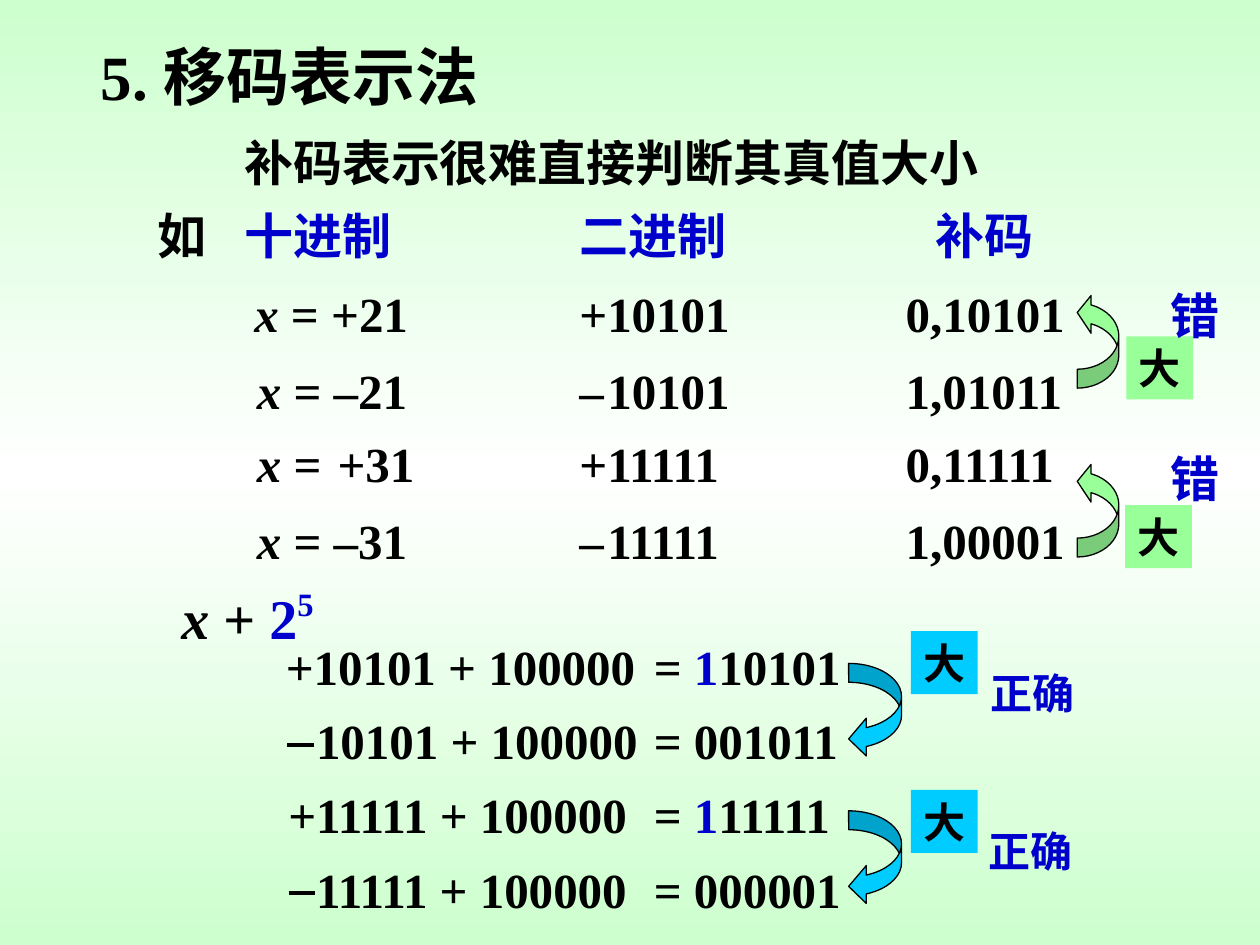
"""Build the slide that introduces the biased (excess) code representation."""
from copy import deepcopy
from dataclasses import dataclass

from lxml import etree
from pptx import Presentation
from pptx.dml.color import RGBColor
from pptx.enum import shapes as kinds, text as modes
from pptx.oxml.ns import qn
from pptx.slide import Slide
from pptx.util import Inches, Pt


@dataclass(frozen=True)
class Theme:
    font: str = "Times New Roman"
    ink: str = "000000"
    accent: str = "0000CC"
    wrong: str = "99FF99"
    right: str = "00CCFF"
    edge: str = "CDFFCE"
    middle: str = "FFFFFF"
    title: float = 36
    formula: float = 32
    body: float = 28
    label: float = 24
    gap: float = 9
    thin_gap: float = 8


THEME = Theme()


@dataclass(frozen=True)
class Run:
    text: str
    color: str | None = None
    size: float | None = None
    italic: bool = False
    raised: bool = False


@dataclass(frozen=True)
class Example:
    top: float
    left: float
    width: float
    decimal: tuple[Run, ...]
    binary: tuple[Run, ...]
    complement: str


@dataclass(frozen=True)
class Sum:
    left: float
    addends: str
    result: tuple[Run, ...]
    minus_left: float | None = None


@dataclass(frozen=True)
class Verdict:
    arrow: kinds.MSO_SHAPE
    arrow_at: tuple[float, float]
    depth: float
    turn: int
    color: str
    badge_at: tuple[float, float]
    word: str
    word_box: tuple[float, float, float, float]
    word_size: float


X = Run("x", italic=True)
MINUS = (Run("–"), Run(" ", size=THEME.thin_gap))
LEAD = (Run("= "), Run("1", THEME.accent))
LINE_HEIGHT = 0.57
SUM_TOP, SUM_STEP = 5.0, 0.59
ARROW_SPAN, ARROW_BAND = 0.75, 0.15

EXAMPLES = (
    Example(2.2, 1.92, 1.42, (X, Run(" = +21")), (Run("+10101"),), "0,10101"),
    Example(2.81, 1.94, 1.39, (X, Run(" = –21")), (*MINUS, Run("10101")), "1,01011"),
    Example(3.39, 1.94, 1.45, (X, Run(" = "), Run(" ", size=THEME.gap), Run("+31")),
            (Run("+11111"),), "0,11111"),
    Example(4, 1.94, 1.39, (X, Run(" = –31")), (*MINUS, Run("11111")), "1,00001"),
)
SUMS = (
    Sum(2.17, "+10101 + 100000", (*LEAD, Run("10101"))),
    Sum(2.41, "10101 + 100000", (Run("= 001011"),), 2.28),
    Sum(2.19, "+11111 + 100000", (*LEAD, Run("11111"))),
    Sum(2.41, "11111 + 100000", (Run("= 000001"),), 2.29),
)
UP, DOWN = kinds.MSO_SHAPE.CURVED_UP_ARROW, kinds.MSO_SHAPE.CURVED_DOWN_ARROW
VERDICTS = (
    Verdict(UP, (8.34, 2.54), 0.33, 270, THEME.wrong, (8.94, 2.67),
            "错", (9.19, 2.22, 0.62, 0.57), THEME.body),
    Verdict(UP, (8.34, 3.88), 0.33, 270, THEME.wrong, (8.93, 4.01),
            "错", (9.19, 3.51, 0.62, 0.57), THEME.body),
    Verdict(DOWN, (6.57, 5.43), 0.42, 90, THEME.right, (7.23, 5.01),
            "正确", (7.76, 5.25, 0.95, 0.5), THEME.label),
    Verdict(DOWN, (6.57, 6.6), 0.42, 90, THEME.right, (7.23, 6.27),
            "正确", (7.75, 6.5, 0.95, 0.5), THEME.label),
)


def write(slide: Slide, content: str | tuple[Run, ...], left: float, top: float,
          width: float, height: float = LINE_HEIGHT, *, size: float = THEME.body,
          color: str = THEME.ink, fill: str | None = None, wrap: bool = False) -> None:
    area = [Inches(value) for value in (left, top, width, height)]
    if fill:
        holder = slide.shapes.add_shape(kinds.MSO_SHAPE.RECTANGLE, *area)
        holder.shadow.inherit = False
        holder.fill.solid()
        holder.fill.fore_color.rgb = RGBColor.from_string(fill)
        holder.line.fill.background()
    else:
        holder = slide.shapes.add_textbox(*area)
    frame = holder.text_frame
    frame.word_wrap = wrap
    frame.auto_size = modes.MSO_AUTO_SIZE.SHAPE_TO_FIT_TEXT
    frame.vertical_anchor = modes.MSO_ANCHOR.TOP
    paragraph = frame.paragraphs[0]
    paragraph.alignment = modes.PP_ALIGN.LEFT
    for part in (Run(content),) if isinstance(content, str) else content:
        piece = paragraph.add_run()
        piece.text = part.text
        font = piece.font
        font.name, font.bold, font.italic = THEME.font, True, part.italic
        font.size = Pt(part.size or size)
        font.color.rgb = RGBColor.from_string(part.color or color)
        if part.raised:
            piece._r.get_or_add_rPr().set("baseline", "40000")


def paint_background(slide: Slide) -> None:
    fill = slide.background.fill
    fill.gradient()
    fill.gradient_angle = 270
    first = fill.gradient_stops[0]._gs
    first.addnext(deepcopy(first))
    colors = (THEME.edge, THEME.middle, THEME.edge)
    for stop, place, color in zip(fill.gradient_stops, (0, 0.5, 1), colors):
        stop.position = place
        stop.color.rgb = RGBColor.from_string(color)


def draw_minus(slide: Slide, left: float, y: float) -> None:
    minus = slide.shapes.add_connector(
        kinds.MSO_CONNECTOR.STRAIGHT, Inches(left), Inches(y), Inches(left + 0.21), Inches(y))
    minus.line.width = Pt(2.25)
    minus.line.color.rgb = RGBColor.from_string(THEME.ink)
    etree.SubElement(minus._element.spPr, qn("a:effectLst"))


def draw_example(slide: Slide, example: Example) -> None:
    write(slide, example.decimal, example.left, example.top, example.width)
    write(slide, example.binary, 4.5, example.top, 1.39)
    write(slide, example.complement, 7.09, example.top, 1.46)


def draw_sum(slide: Slide, row: int, total: Sum) -> None:
    top = SUM_TOP + row * SUM_STEP
    write(slide, total.addends, total.left, top, 2.97 if total.minus_left is None else 2.75)
    if total.minus_left is not None:
        draw_minus(slide, total.minus_left, top + 0.32)
    write(slide, total.result, 5.09, top, 1.68)


def draw_verdict(slide: Slide, verdict: Verdict) -> None:
    left, top = verdict.arrow_at
    arrow = slide.shapes.add_shape(verdict.arrow, Inches(left), Inches(top),
                                   Inches(ARROW_SPAN), Inches(verdict.depth))
    arrow.rotation = verdict.turn
    arrow.shadow.inherit = False
    arrow.fill.solid()
    arrow.fill.fore_color.rgb = RGBColor.from_string(verdict.color)
    arrow.line.color.rgb = RGBColor.from_string(THEME.ink)
    arrow.line.width = Pt(0.75)
    band = ARROW_BAND / verdict.depth
    for index, ratio in enumerate((band, 2 * band, 1 / 3)):
        arrow.adjustments[index] = ratio
    write(slide, "大", *verdict.badge_at, 0.53, 0.5, size=THEME.label, fill=verdict.color)
    write(slide, verdict.word, *verdict.word_box, size=verdict.word_size,
          color=THEME.accent, wrap=True)


def main() -> None:
    deck = Presentation()
    deck.slide_width, deck.slide_height = Inches(10), Inches(7.5)
    slide = deck.slides.add_slide(deck.slide_layouts[6])
    paint_background(slide)
    write(slide, "5. 移码表示法", 0.7, 0.25, 3.45, 0.7, size=THEME.title, wrap=True)
    write(slide, "补码表示很难直接判断其真值大小", 1.84, 1, 6.15, wrap=True)
    write(slide, "如", 1.15, 1.58, 0.62, wrap=True)
    for heading, left, width in (("十进制", 1.84, 1.45), ("二进制", 4.5, 2.17), ("补码", 7.33, 2)):
        write(slide, heading, left, 1.58, width, color=THEME.accent, wrap=True)
    for example in EXAMPLES:
        draw_example(slide, example)
    write(slide, (X, Run(" + "), Run("2", THEME.accent), Run("5", THEME.accent, raised=True)),
          1.34, 4.58, 1.25, 0.64, size=THEME.formula)
    for row, total in enumerate(SUMS):
        draw_sum(slide, row, total)
    for verdict in VERDICTS:
        draw_verdict(slide, verdict)
    deck.save("out.pptx")


if __name__ == "__main__":
    main()
